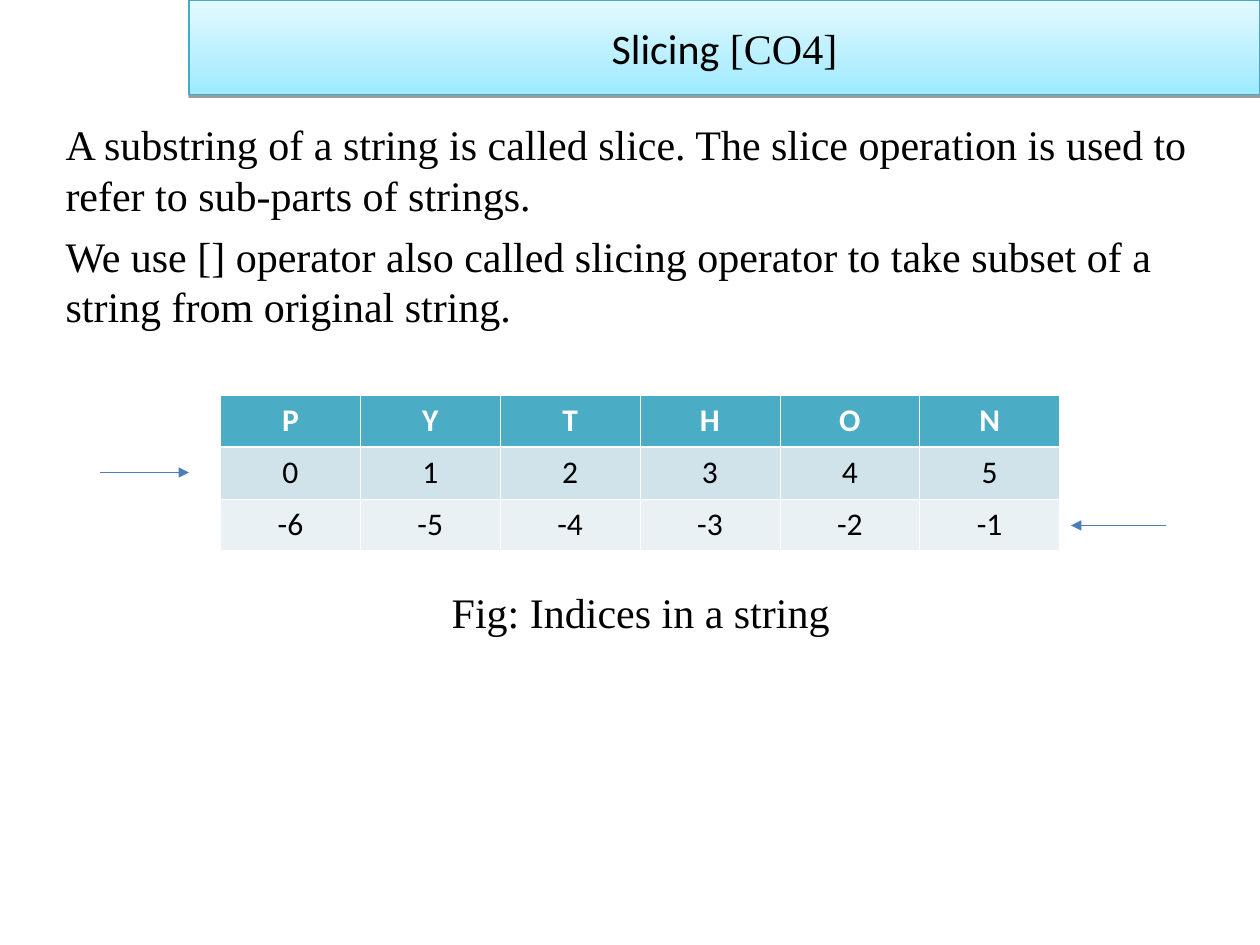
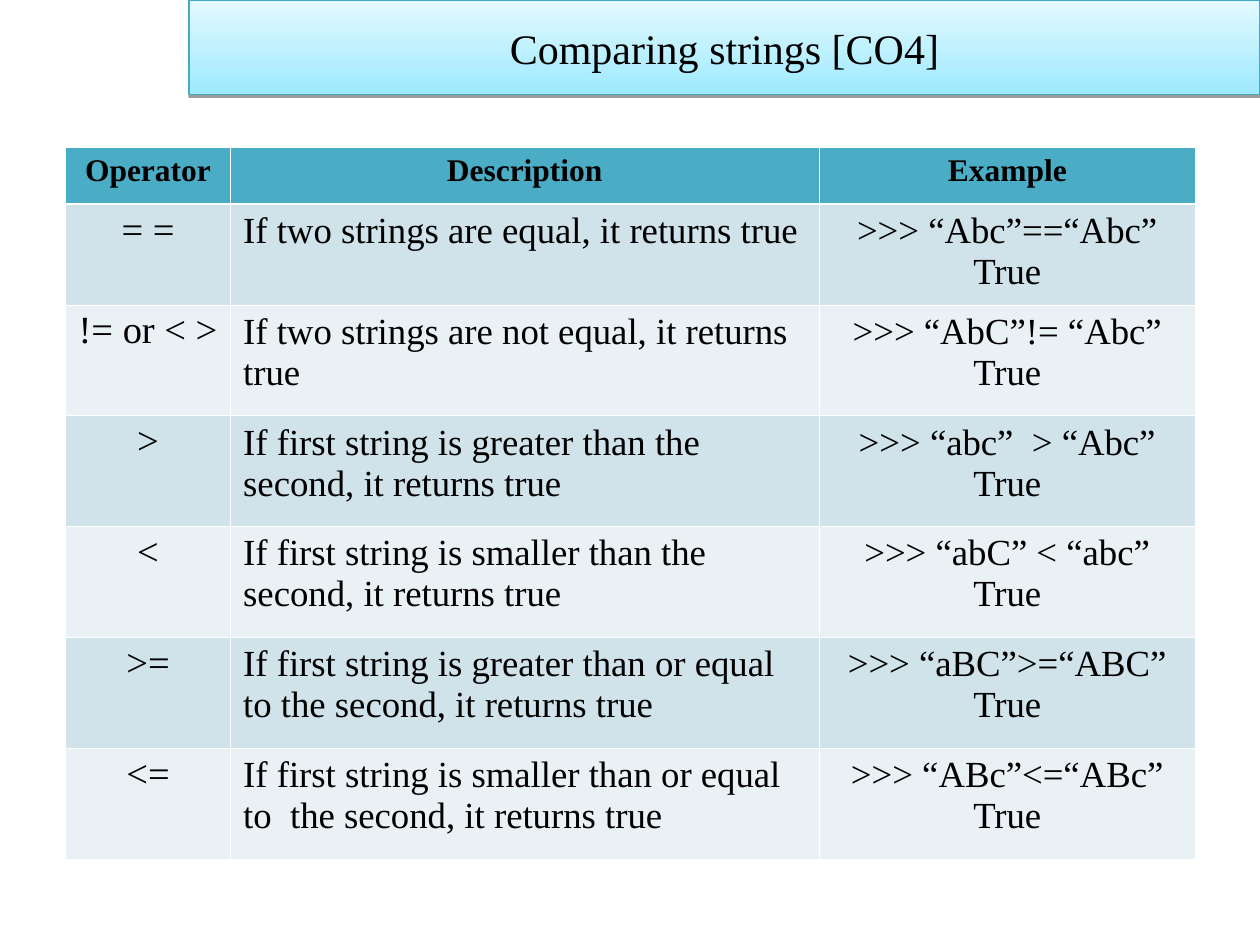
from lxml.etree import SubElement
from pptx import Presentation
from pptx.dml.color import RGBColor
from pptx.enum.shapes import MSO_CONNECTOR
from pptx.enum.text import MSO_ANCHOR, MSO_AUTO_SIZE, PP_ALIGN
from pptx.oxml import parse_xml
from pptx.oxml.ns import nsdecls, qn
from pptx.util import Inches, Pt

COLORS = {
    "text": "000000",
    "white": "FFFFFF",
    "band_bottom": "9EEAFF",
    "band_top": "E4F9FF",
    "band_line": "46AAC5",
    "header": "4BACC6",
    "odd_row": "D0E3EA",
    "even_row": "E9F1F5",
    "arrow": "4A7EBB",
}
SERIF = "Times New Roman"
SANS = "Calibri"
THIN, THICK = 0.45, 1.47


def add_run(paragraph, text, font, size, color="text", bold=False):
    run = paragraph.add_run()
    run.text = text
    run.font.name = font
    run.font.size = Pt(size)
    run.font.bold = bold
    run.font.color.rgb = RGBColor.from_string(COLORS[color])


def add_grid(slide, left, top, widths, heights, rows, font, header_color, sizes, left_column=None, spacing=None):
    table = slide.shapes.add_table(
        len(rows), len(widths), Inches(left), Inches(top),
        Inches(sum(widths)), Inches(sum(heights))).table
    for column, width in zip(table.columns, widths):
        column.width = Inches(width)
    for row_index, (row, height) in enumerate(zip(rows, heights)):
        table.rows[row_index].height = Inches(height)
        is_header = row_index == 0
        fill_name = "header" if is_header else "odd_row" if row_index % 2 else "even_row"
        borders = {
            "lnL": THIN,
            "lnR": THIN,
            "lnT": THICK if row_index == 1 else THIN,
            "lnB": THICK if is_header else THIN,
        }
        for column_index, text in enumerate(row):
            cell = table.cell(row_index, column_index)
            properties = cell._tc.get_or_add_tcPr()
            for tag, width in borders.items():
                line = SubElement(properties, qn(f"a:{tag}"), w=str(Pt(width)))
                line_fill = SubElement(line, qn("a:solidFill"))
                SubElement(line_fill, qn("a:srgbClr"), val=COLORS["white"])
            cell.fill.solid()
            cell.fill.fore_color.rgb = RGBColor.from_string(COLORS[fill_name])
            for line_index, line_text in enumerate(text.split("\n")):
                frame = cell.text_frame
                paragraph = frame.add_paragraph() if line_index else frame.paragraphs[0]
                is_left = column_index == left_column and not is_header
                paragraph.alignment = PP_ALIGN.LEFT if is_left else PP_ALIGN.CENTER
                if spacing and not is_header:
                    paragraph.line_spacing = Pt(spacing)
                add_run(paragraph, line_text, font, 18 if is_header else sizes[column_index],
                        header_color if is_header else "text", is_header)


presentation = Presentation()
presentation.slide_width = Inches(10)
presentation.slide_height = Inches(7.5)

TITLE_SLIDES = [
    (1, [("Slicing", SANS), (" [CO4]", SERIF)]),
    (5, [("Comparing strings [CO4]", SERIF)]),
]
for layout_index, title_runs in TITLE_SLIDES:
    slide = presentation.slides.add_slide(presentation.slide_layouts[layout_index])
    title = slide.shapes.title
    title.left, title.top = Inches(1.5), Inches(0)
    title.width, title.height = Inches(8.5), Inches(0.75)
    title.fill.gradient()
    title.fill.gradient_angle = 90
    for stop, name in zip(title.fill.gradient_stops, ("band_bottom", "band_top")):
        stop.color.rgb = RGBColor.from_string(COLORS[name])
    title.line.color.rgb = RGBColor.from_string(COLORS["band_line"])
    title.line.width = Pt(0.75)
    title._element.spPr.append(parse_xml(
        f'<a:effectLst {nsdecls("a")}><a:outerShdw blurRad="0" dist="{Pt(1.6)}" dir="5400000" rotWithShape="0">'
        f'<a:srgbClr val="{COLORS["text"]}"><a:alpha val="38000"/></a:srgbClr></a:outerShdw></a:effectLst>'))
    frame = title.text_frame
    frame.auto_size = MSO_AUTO_SIZE.NONE
    frame.vertical_anchor = MSO_ANCHOR.MIDDLE
    frame.paragraphs[0].alignment = PP_ALIGN.CENTER
    for text, font in title_runs:
        add_run(frame.paragraphs[0], text, font, 24)

slicing_slide, comparing_slide = presentation.slides

body = slicing_slide.placeholders[1]
body.left, body.top = Inches(0.42), Inches(0.89)
body.width, body.height = Inches(9.33), Inches(5.91)
body.text_frame.auto_size = MSO_AUTO_SIZE.NONE
BODY_PARAGRAPHS = [
    ("A substring of a string is called slice. The slice operation is used to refer to sub-parts of strings.",
     PP_ALIGN.LEFT, 0),
    ("We use [] operator also called slicing operator to take subset of a string from original string.",
     PP_ALIGN.LEFT, 6),
    ("Fig: Indices in a string", PP_ALIGN.CENTER, 145.5),
]
for index, (text, alignment, space_before) in enumerate(BODY_PARAGRAPHS):
    frame = body.text_frame
    paragraph = frame.add_paragraph() if index else frame.paragraphs[0]
    properties = paragraph._p.get_or_add_pPr()
    properties.set("marL", "0")
    properties.set("indent", "0")
    SubElement(properties, qn("a:buNone"))
    paragraph.alignment = alignment
    paragraph.space_before = Pt(space_before)
    paragraph.line_spacing = Pt(28.9)
    add_run(paragraph, text, SERIF, 24)

word = "PYTHON"
index_rows = [
    list(word),
    [str(position) for position in range(len(word))],
    [str(position) for position in range(-len(word), 0)],
]
add_grid(slicing_slide, 1.75, 3.14, [1.11] * len(word), [0.41] * 3, index_rows,
         SANS, "white", [18] * len(word))

for start, end, y in [(0.79, 1.5, 3.75), (9.25, 8.5, 4.17)]:
    arrow = slicing_slide.shapes.add_connector(
        MSO_CONNECTOR.STRAIGHT, Inches(start), Inches(y), Inches(end), Inches(y))
    arrow.line.color.rgb = RGBColor.from_string(COLORS["arrow"])
    arrow.line.width = Pt(0.75)
    SubElement(arrow.line._get_or_add_ln(), qn("a:tailEnd"), type="triangle")
    SubElement(arrow._element.spPr, qn("a:effectLst"))

OPERATOR_ROWS = [
    ("Operator", "Description", "Example"),
    ("= =", "If two strings are equal, it returns true", ">>> “Abc”==“Abc”\nTrue"),
    ("!= or < >", "If two strings are not equal, it returns true", ">>> “AbC”!= “Abc”\nTrue"),
    (">", "If first string is greater than the second, it returns true", ">>> “abc”  > “Abc”\nTrue"),
    ("<", "If first string is smaller than the second, it returns true", ">>> “abC” < “abc”\nTrue"),
    (">=", "If first string is greater than or equal to the second, it returns true",
     ">>> “aBC”>=“ABC”\nTrue"),
    ("<=", "If first string is smaller than or equal to  the second, it returns true",
     ">>> “ABc”<=“ABc”\nTrue"),
]
add_grid(comparing_slide, 0.52, 1.17, [1.31, 4.67, 2.99], [0.45, 0.8] + [0.88] * 5, OPERATOR_ROWS,
         SERIF, "text", [22, 21, 21], left_column=1, spacing=23.4)

presentation.save("out.pptx")
